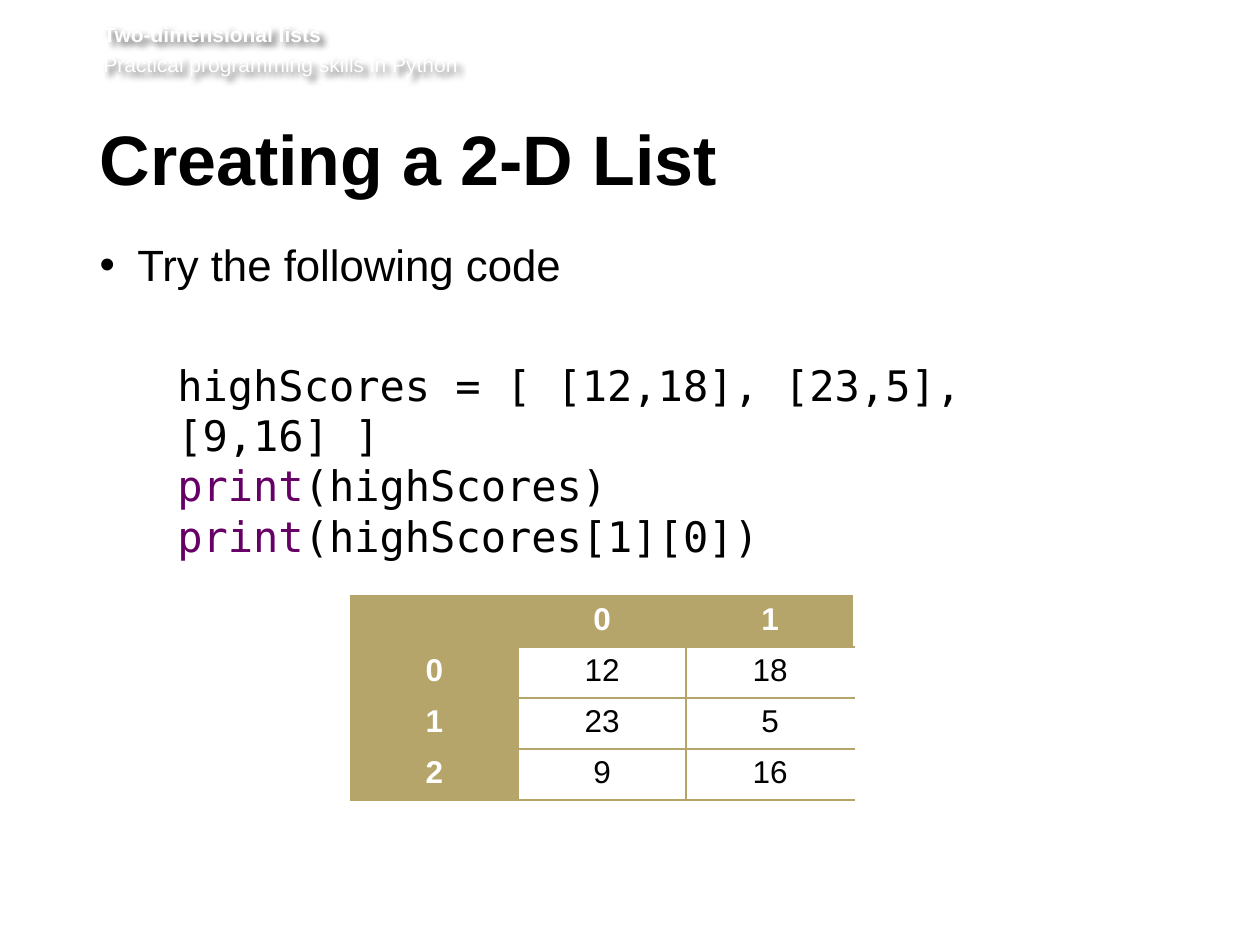
"""Builds a slide on creating a two-dimensional list in Python."""
from lxml import etree
from pptx import Presentation
from pptx.dml.color import RGBColor
from pptx.enum.text import PP_ALIGN
from pptx.oxml import parse_xml
from pptx.oxml.ns import nsdecls, qn
from pptx.util import Inches, Pt

CENTER = PP_ALIGN.CENTER
WHITE = RGBColor(0xFF, 0xFF, 0xFF)
BLACK = RGBColor(0, 0, 0)
GOLD = RGBColor(0xB5, 0xA5, 0x6A)
PURPLE = RGBColor(0x66, 0x00, 0x66)
SANS, MONO = "Arial", "DejaVu Sans Mono"

HEADER = ["Two-dimensional lists", "Practical programming skills in Python"]
TITLE = "Creating a 2-D List"
TASK = "Try the following code"
CODE = [
    [("highScores = [ [12,18], [23,5], [9,16] ]", BLACK)],
    [("print", PURPLE), ("(highScores)", BLACK)],
    [("print", PURPLE), ("(highScores[1][0])", BLACK)],
]
SCORES = [[12, 18], [23, 5], [9, 16]]
GRID = [["", 0, 1]] + [[index, *row] for index, row in enumerate(SCORES)]
COLUMN, ROW = 4 / 3, 0.405


def style(font, size, color, bold=False, name=SANS):
    font.name, font.size, font.bold = name, Pt(size), bold
    font.color.rgb = color


def add_text(slide, place, margins, lines):
    box = slide.shapes.add_textbox(*map(Inches, place))
    frame = box.text_frame
    frame.word_wrap = True
    (frame.margin_left, frame.margin_top,
     frame.margin_right, frame.margin_bottom) = map(Inches, margins)
    frame.text = "\n".join(lines)
    return box


def add_header(slide):
    header = add_text(slide, (0.82, 0.17, 8.82, 0.49), (0, 0, 0, 0.05), HEADER)
    for index, line in enumerate(header.text_frame.paragraphs):
        line.space_before = Pt(2.9 if index else 0)
        style(line.runs[0].font, 12, WHITE, bold=index == 0)
    header._element.spPr.append(parse_xml(
        f'<a:effectLst {nsdecls("a")}><a:outerShdw blurRad="50800" dist="38100" '
        'dir="2700000" algn="tl" rotWithShape="0"><a:srgbClr val="000000">'
        '<a:alpha val="60000"/></a:srgbClr></a:outerShdw></a:effectLst>'))


def add_title(slide):
    title = add_text(slide, (0.79, 0.99, 8.55, 0.73), (0, 0.05, 0.1, 0.05), [TITLE])
    line = title.text_frame.paragraphs[0]
    line.line_spacing = Pt(39)
    style(line.runs[0].font, 40, BLACK, bold=True)


def add_task(slide):
    task = add_text(slide, (0.79, 1.89, 8.53, 3.78), (0, 0, 0.1, 0.05), [TASK])
    line = task.text_frame.paragraphs[0]
    properties = line._p.get_or_add_pPr()
    properties.set("marL", str(Inches(0.3)))
    properties.set("indent", str(Inches(-0.3)))
    etree.SubElement(properties, qn("a:buFont"), typeface=SANS)
    etree.SubElement(properties, qn("a:buChar"), char="•")
    style(line.runs[0].font, 25, BLACK)


def add_code(slide):
    lines = ["".join(text for text, _ in parts) for parts in CODE]
    code = add_text(slide, (1.31, 2.8, 7.63, 1.31), (0.1, 0.05, 0.1, 0.05), lines)
    for line, parts in zip(code.text_frame.paragraphs, CODE):
        line.clear()
        for text, color in parts:
            run = line.add_run()
            run.text = text
            style(run.font, 24, color, name=MONO)


def add_borders(cell, sides):
    for side in sides:
        cell._tc.get_or_add_tcPr().append(parse_xml(
            f'<a:ln{side} {nsdecls("a")} w="12700"><a:solidFill>'
            f'<a:srgbClr val="{GOLD}"/></a:solidFill></a:ln{side}>'))


def add_scores(slide):
    columns, rows = len(GRID[0]), len(GRID)
    table = slide.shapes.add_table(
        rows, columns, Inches(2.78), Inches(4.73),
        Inches(COLUMN * columns), Inches(ROW * rows)).table
    table.horz_banding = False
    for r, values in enumerate(GRID):
        for c, value in enumerate(values):
            cell = table.cell(r, c)
            heading = r == 0 or c == 0
            add_borders(cell, "LTB" if c == columns - 1 else "LRTB")
            if heading:
                cell.fill.solid()
                cell.fill.fore_color.rgb = GOLD
            else:
                cell.fill.background()
            cell.text_frame.text = str(value)
            line = cell.text_frame.paragraphs[0]
            line.alignment = CENTER
            style(line.font, 18, WHITE if heading else BLACK, heading)
            for run in line.runs:
                style(run.font, 18, WHITE if heading else BLACK, heading)


def main():
    deck = Presentation()
    deck.slide_width, deck.slide_height = Inches(10), Inches(7.5)
    slide = deck.slides.add_slide(deck.slide_layouts[6])
    for add_part in (add_header, add_title, add_task, add_code, add_scores):
        add_part(slide)
    deck.save("out.pptx")


if __name__ == "__main__":
    main()
